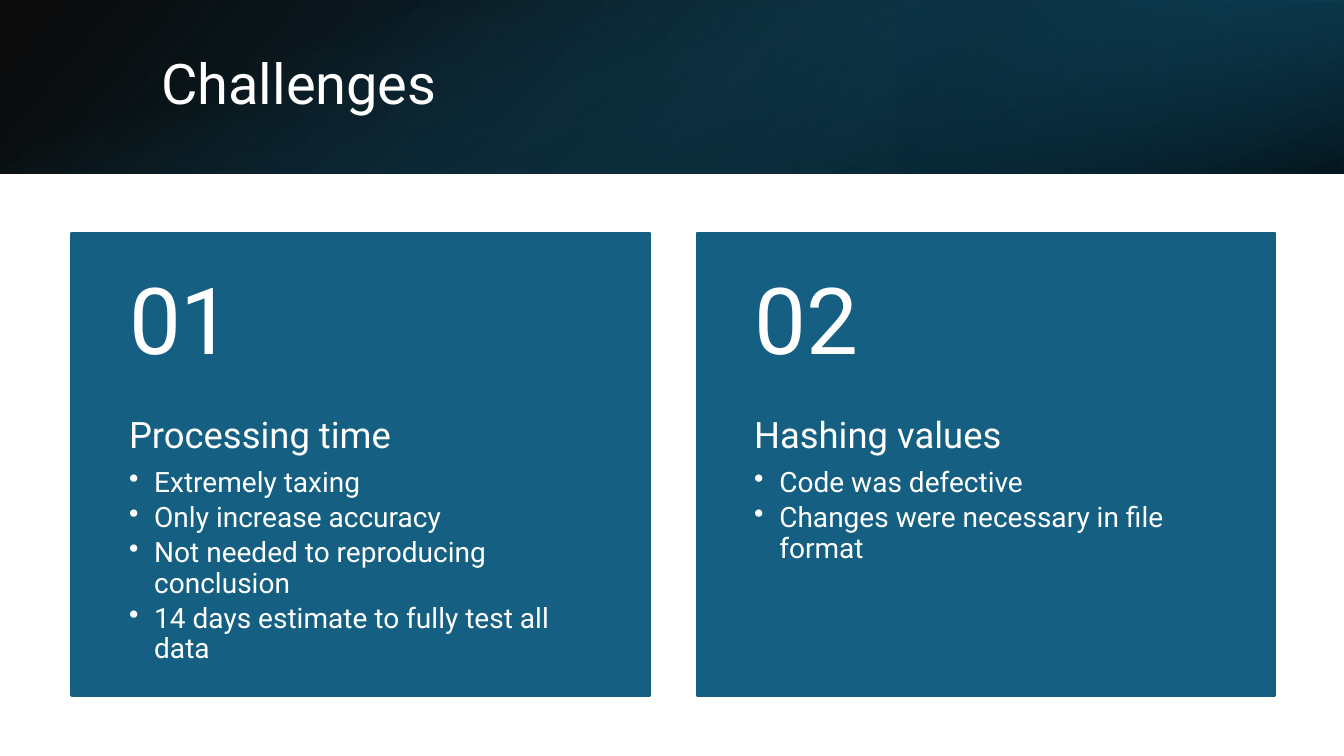
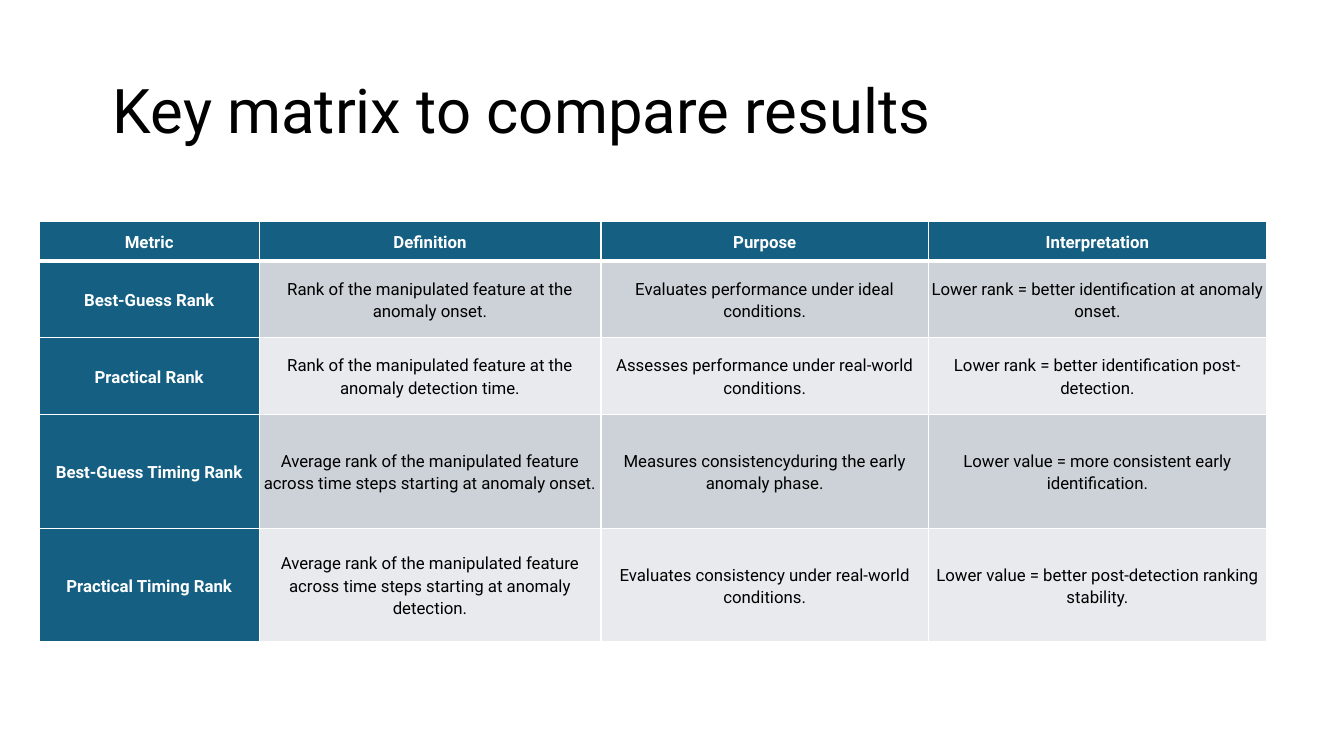
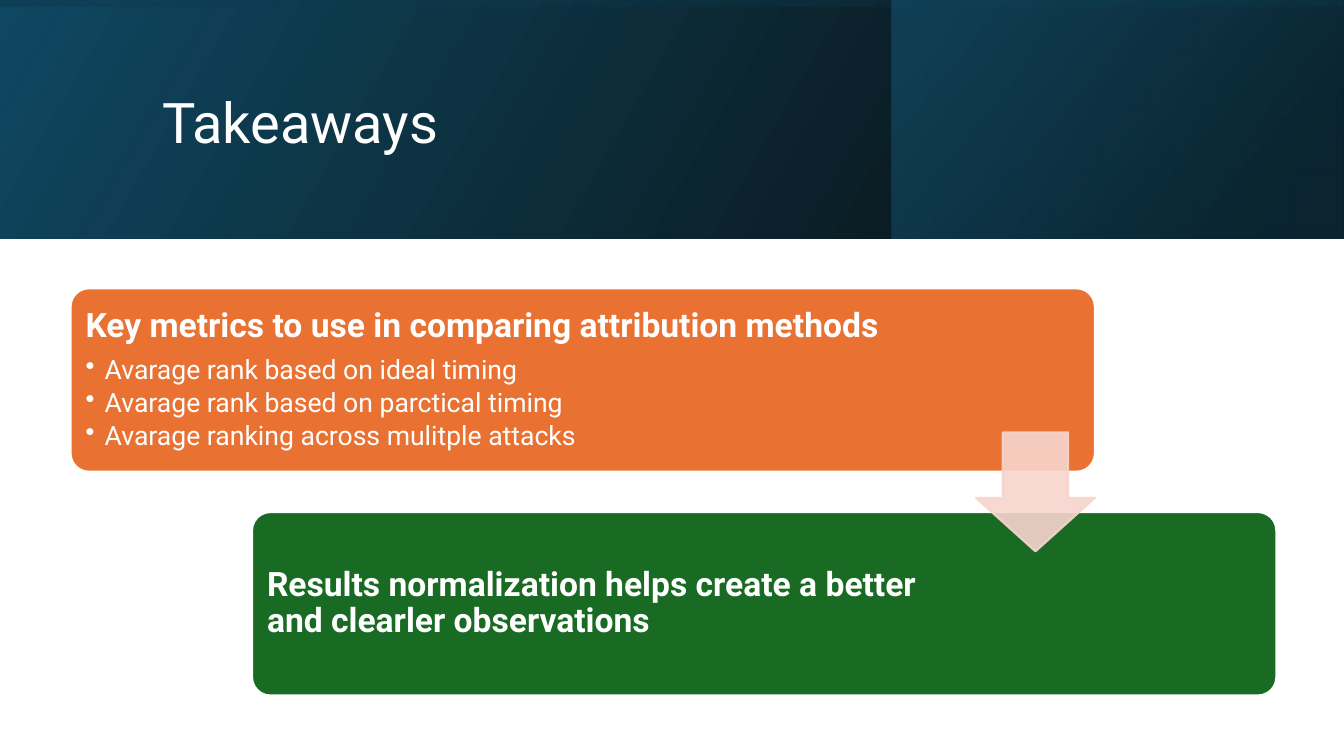
from dataclasses import dataclass, replace

from lxml.etree import SubElement
from pptx import Presentation
from pptx.dml.color import RGBColor
from pptx.enum.shapes import MSO_SHAPE as Shape
from pptx.enum.text import MSO_ANCHOR as Anchor, PP_ALIGN as Align
from pptx.oxml.ns import qn
from pptx.util import Inches, Pt


class Theme:
    font = "Roboto"
    white, black = "FFFFFF", "000000"
    blue, deep_blue, night = "156082", "104862", "0B3041"
    orange, green, blush = "E97132", "196B24", "F7D5CE"
    row_fills = ("CCD2D8", "E8EAED")
    outline = 1.5


@dataclass(frozen=True)
class TextStyle:
    size: float
    color: str = Theme.white
    bold: bool = False
    indent: float = 0  # hanging bullet indent in inches
    after: float = 0
    spacing: float = 0.9
    align: Align = Align.LEFT


TITLE = TextStyle(40)
TABLE_TITLE = TextStyle(44, Theme.black)
NUMBER = TextStyle(66)
CARD_HEAD = TextStyle(26, after=8.5)
CARD_BULLET = TextStyle(20, indent=0.25, after=3.5)
STEP_HEAD = TextStyle(24, bold=True, after=8)
STEP_BULLET = TextStyle(19, indent=0.19, after=3.3)
CELL = TextStyle(12, Theme.black, after=8, spacing=1.15, align=Align.CENTER)
CELL_HEAD = replace(CELL, color=Theme.white, bold=True)

DEFAULT_INSETS = (0.1, 0.05, 0.1, 0.05)

# Band layers: (box, rotation, flipped, angle, stops of (percent, colour, opacity))
CHALLENGES_BAND = [
    ((0, 0, 13.33, 1.72), 0, True, 140,
     [(0, Theme.black, 96), (100, Theme.deep_blue, 100)]),
    ((8.89, 0, 4.44, 1.72), 180, True, 320,
     [(19, Theme.night, 68), (100, Theme.blue, 79)]),
    ((5.8, -5.8, 1.72, 13.33), 90, False, 340,
     [(23, Theme.blue, 0), (99, Theme.black, 74)]),
]
TAKEAWAYS_BAND = [
    ((0, 0, 13.33, 2.37), 0, True, 330,
     [(0, Theme.black, 96), (100, Theme.deep_blue, 100)]),
    ((8.84, 0, 4.48, 2.37), 0, True, 320,
     [(19, Theme.night, 68), (100, Theme.blue, 48)]),
    ((5.48, -5.48, 2.37, 13.33), 270, True, 350,
     [(23, Theme.deep_blue, 16), (99, Theme.black, 45)]),
]

CHALLENGES = [
    ("Processing time", [
        "Extremely taxing",
        "Only increase accuracy",
        "Not needed to reproducing conclusion",
        "14 days estimate to fully test all data",
    ]),
    ("Hashing values", [
        "Code was defective",
        "Changes were necessary in file format",
    ]),
]

COLUMN_WIDTHS = (2.18, 3.39, 3.25, 3.35)
ROW_HEIGHTS = (0.39, 0.76, 0.76, 1.13, 1.13)
METRICS = [
    ("Metric", "Definition", "Purpose", "Interpretation"),
    ("Best-Guess Rank",
     "Rank of the manipulated feature at the anomaly onset.",
     "Evaluates performance under ideal conditions.",
     "Lower rank = better identification at anomaly onset."),
    ("Practical Rank",
     "Rank of the manipulated feature at the anomaly detection time.",
     "Assesses performance under real-world conditions.",
     "Lower rank = better identification post-detection."),
    ("Best-Guess Timing Rank",
     "Average rank of the manipulated feature across time steps starting at anomaly onset.",
     "Measures consistencyduring the early anomaly phase.",
     "Lower value = more consistent early identification."),
    ("Practical Timing Rank",
     "Average rank of the manipulated feature across time steps starting at anomaly detection.",
     "Evaluates consistency under real-world conditions.",
     "Lower value = better post-detection ranking stability."),
]

# Steps: (fill, text width, heading, bullets)
STEPS = [
    (Theme.orange, 8.28, "Key metrics to use in comparing attribution methods", [
        "Avarage rank based on ideal timing",
        "Avarage rank based on parctical timing",
        "Avarage ranking across mulitple attacks",
    ]),
    (Theme.green, 7.08,
     "Results normalization helps create a better and clearler observations", []),
]


def rgb(color):
    return RGBColor.from_string(color)


def inches(values):
    return [Inches(value) for value in values]


def set_opacity(parent, percents):
    """Give each colour below parent its opacity, in order."""
    for color, percent in zip(parent.iter(qn("a:srgbClr")), percents):
        if percent < 100:
            SubElement(color, qn("a:alpha"), val=str(percent * 1000))


def write(frame, items):
    """Fill a text frame with (text, style) paragraphs."""
    for index, (text, style) in enumerate(items):
        para = frame.add_paragraph() if index else frame.paragraphs[0]
        if style.indent:
            props = para._p.get_or_add_pPr()
            props.set("marL", str(Inches(style.indent)))
            props.set("indent", str(-Inches(style.indent)))
            SubElement(props, qn("a:buChar"), char="•")
        para.alignment = style.align
        para.line_spacing = style.spacing
        para.space_after = Pt(style.after)
        span = para.add_run()
        span.text = text
        span.font.name = Theme.font
        span.font.size = Pt(style.size)
        span.font.bold = style.bold
        span.font.color.rgb = rgb(style.color)


def add_text(slide, at, items, insets=DEFAULT_INSETS, anchor=Anchor.MIDDLE):
    frame = slide.shapes.add_textbox(*inches(at)).text_frame
    frame.word_wrap = True
    frame.vertical_anchor = anchor
    (frame.margin_left, frame.margin_top,
     frame.margin_right, frame.margin_bottom) = inches(insets)
    write(frame, items)


def add_panel(slide, kind, at, fill, line, adjustments=()):
    panel = slide.shapes.add_shape(kind, *inches(at))
    panel.shadow.inherit = False
    for index, value in enumerate(adjustments):
        panel.adjustments[index] = value
    panel.fill.solid()
    panel.fill.fore_color.rgb = rgb(fill)
    panel.line.color.rgb = rgb(line)
    panel.line.width = Pt(Theme.outline)
    return panel


def add_band(slide, layers):
    for at, rotation, flipped, angle, stops in layers:
        layer = slide.shapes.add_shape(Shape.RECTANGLE, *inches(at))
        layer.shadow.inherit = False
        layer.rotation = rotation
        layer.line.fill.background()
        props = layer._element.spPr
        if flipped:
            props.find(qn("a:xfrm")).set("flipH", "1")
        layer.fill.gradient()
        layer.fill.gradient_angle = 360 - angle
        for stop, (percent, color, _) in zip(layer.fill.gradient_stops, stops):
            stop.position = percent / 100
            stop.color.rgb = rgb(color)
        set_opacity(props, [opacity for _, _, opacity in stops])


def add_borders(cell, bottom):
    props = cell._tc.get_or_add_tcPr()
    for side, width in (("L", 1), ("R", 1), ("T", 1), ("B", bottom)):
        line = SubElement(props, qn(f"a:ln{side}"), w=str(Pt(width)))
        SubElement(SubElement(line, qn("a:solidFill")), qn("a:srgbClr"), val=Theme.white)


def build_challenges(slide):
    add_band(slide, CHALLENGES_BAND)
    add_text(slide, (1.5, 0.38, 10.98, 0.96), [("Challenges", TITLE)])
    left, top, width, height, pitch = 0.71, 2.31, 5.74, 4.59, 6.2
    number_height = 1.83
    for index, (heading, bullets) in enumerate(CHALLENGES):
        x = left + index * pitch
        add_panel(slide, Shape.RECTANGLE, (x, top, width, height), Theme.blue, Theme.blue)
        add_text(slide, (x, top + number_height, width, height - number_height),
                 [(heading, CARD_HEAD)] + [(bullet, CARD_BULLET) for bullet in bullets],
                 (0.57, 0, 0.57, 0.36), Anchor.TOP)
        add_text(slide, (x, top, width, number_height), [(f"{index + 1:02}", NUMBER)],
                 (0.57, 0.18, 0.57, 0.18))


def build_matrix(slide):
    add_text(slide, (0.92, 0.4, 11.5, 1.45),
             [("Key matrix to compare results", TABLE_TITLE)], (0.2, 0.05, 0.1, 0.05))
    table = slide.shapes.add_table(
        len(ROW_HEIGHTS), len(COLUMN_WIDTHS),
        *inches((0.39, 2.2, sum(COLUMN_WIDTHS), sum(ROW_HEIGHTS)))).table
    table.horz_banding = False
    for column, width in zip(table.columns, COLUMN_WIDTHS):
        column.width = Inches(width)
    for r, (height, texts) in enumerate(zip(ROW_HEIGHTS, METRICS)):
        table.rows[r].height = Inches(height)
        for c, text in enumerate(texts):
            cell = table.cell(r, c)
            is_head = r == 0 or c == 0
            add_borders(cell, bottom=3 if r == 0 else 1)
            cell.fill.solid()
            cell.fill.fore_color.rgb = rgb(
                Theme.blue if is_head else Theme.row_fills[(r - 1) % 2])
            cell.vertical_anchor = Anchor.MIDDLE
            cell.margin_left = cell.margin_right = Inches(0.01)
            cell.margin_top = cell.margin_bottom = Inches(0.01)
            write(cell.text_frame, [(text, CELL_HEAD if is_head else CELL)])


def build_takeaways(slide):
    add_band(slide, TAKEAWAYS_BAND)
    add_text(slide, (1.51, 0.38, 10.63, 1.72), [("Takeaways", TITLE)])
    left, top, width, height = 0.7, 2.86, 10.16, 1.82
    step_x, step_y, pad = 1.8, 2.22, 0.05
    for index, (fill, text_width, heading, bullets) in enumerate(STEPS):
        x, y = left + index * step_x, top + index * step_y
        add_panel(slide, Shape.ROUNDED_RECTANGLE, (x, y, width, height),
                  fill, Theme.white, [0.1])
        add_text(slide, (x + pad, y + pad, text_width, height - 2 * pad),
                 [(heading, STEP_HEAD)] + [(bullet, STEP_BULLET) for bullet in bullets],
                 (0.1, 0.1, 0.1, 0.1))
    arrow = add_panel(slide, Shape.DOWN_ARROW, (9.68, 4.29, 1.18, 1.18),
                      Theme.blush, Theme.blush)
    arrow.adjustments[0], arrow.adjustments[1] = 0.55, 0.45
    set_opacity(arrow._element.spPr, (90, 90))


def main():
    deck = Presentation()
    deck.slide_width, deck.slide_height = Inches(13.33), Inches(7.5)
    for build in (build_challenges, build_matrix, build_takeaways):
        build(deck.slides.add_slide(deck.slide_layouts[6]))
    deck.save("out.pptx")


if __name__ == "__main__":
    main()
